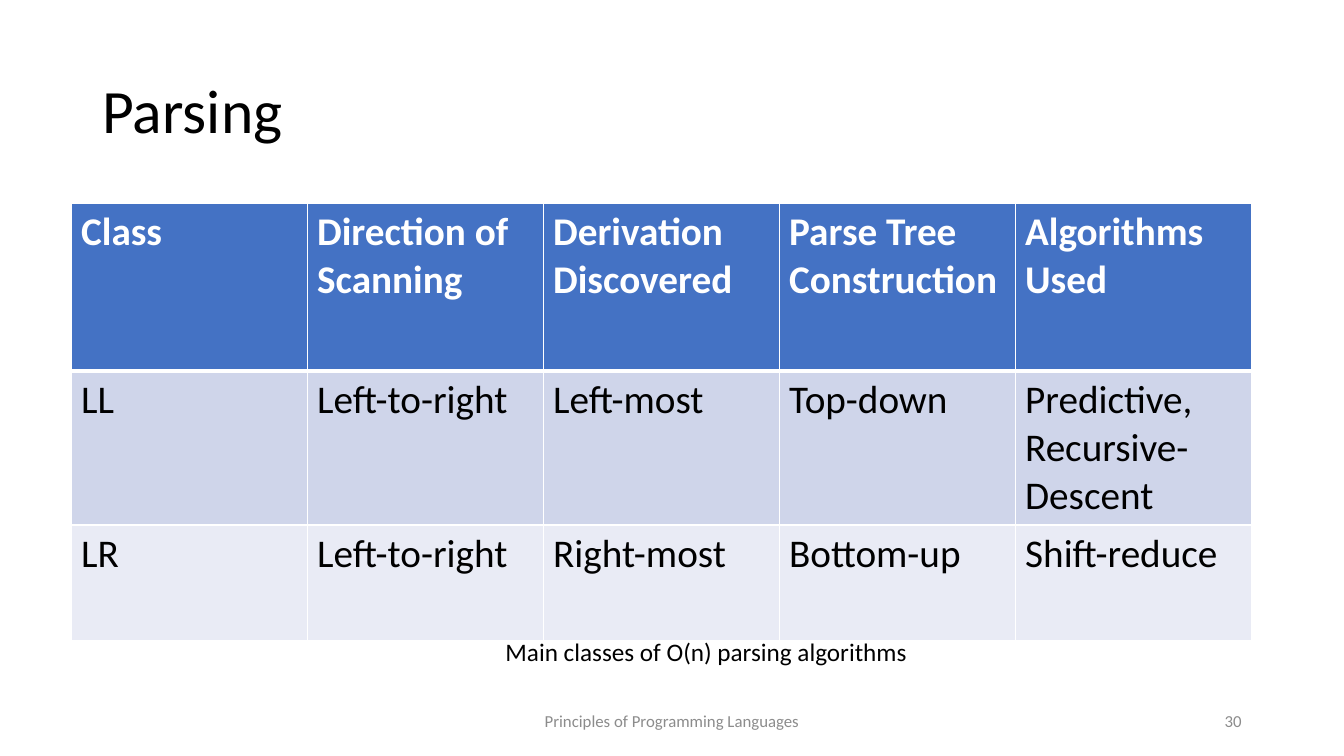
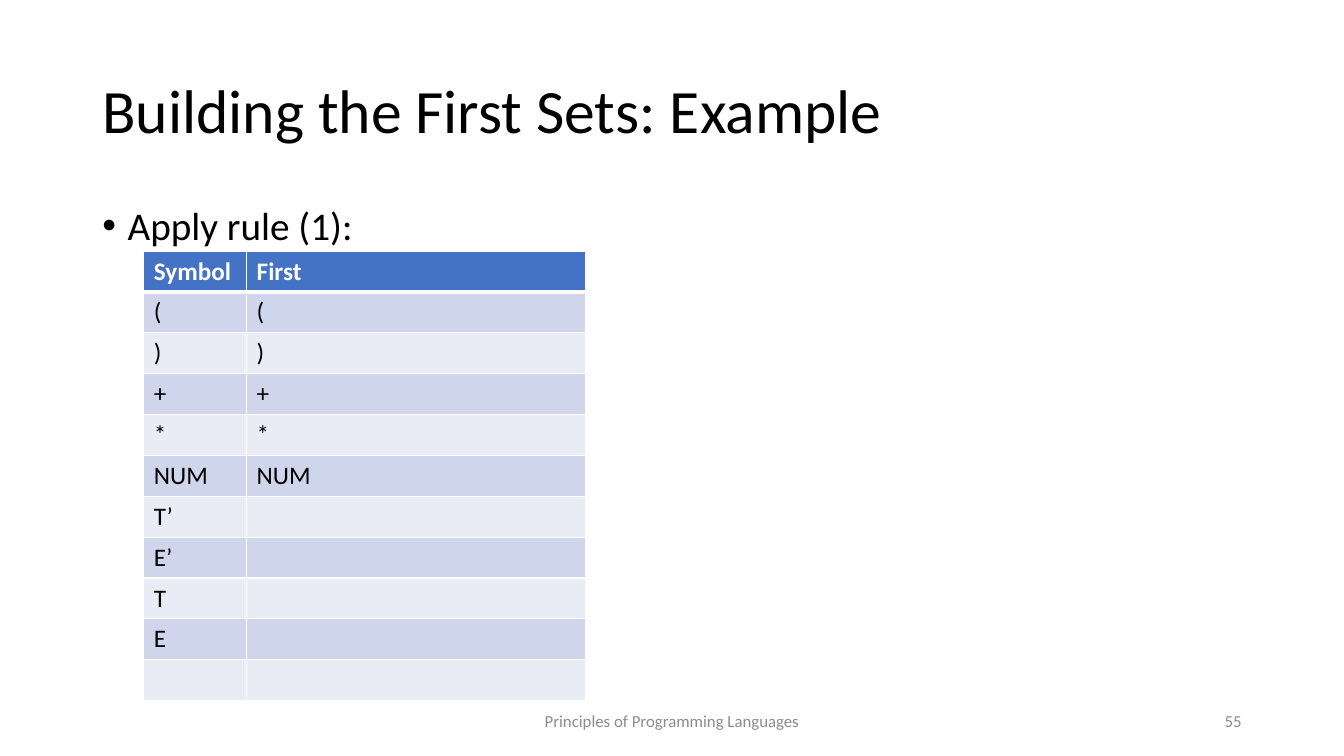
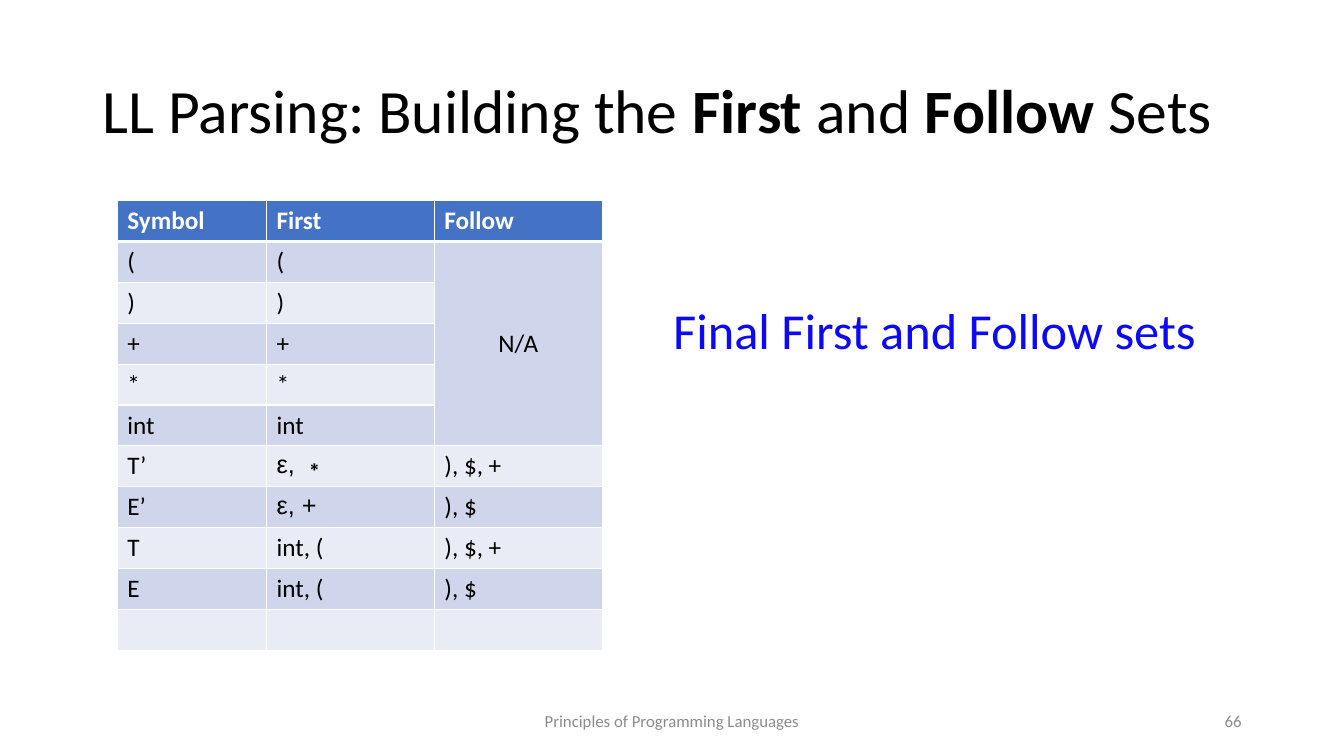
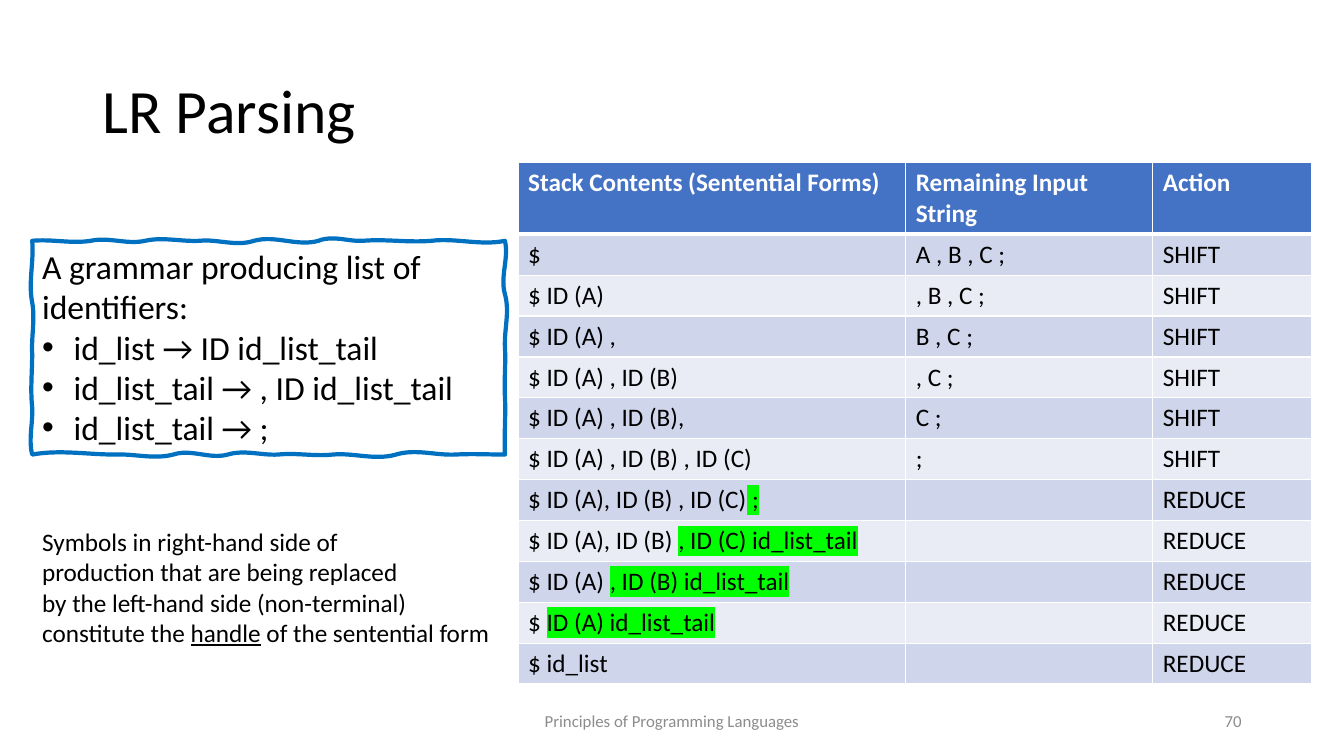
from dataclasses import dataclass

import pptx
import pptx.dml.color
import pptx.enum.text
import pptx.oxml.ns
import pptx.util
from lxml import etree

Pt = pptx.util.Pt
qn = pptx.oxml.ns.qn
ALIGN = pptx.enum.text.PP_ALIGN
ANCHOR = pptx.enum.text.MSO_ANCHOR


@dataclass(frozen=True)
class Theme:
    font: str = "Calibri"
    symbol_font: str = "Arial"
    text: str = "000000"
    white: str = "FFFFFF"
    muted: str = "8C8C8C"
    header: str = "4472C4"
    bands: tuple = ("CFD5EA", "E9EBF5")
    emphasis: str = "0D09F4"
    outline: str = "0070C0"
    handle: str = "00FF00"
    title_size: int = 44
    callout_size: int = 36
    body_size: int = 28
    grammar_size: int = 24
    small_size: int = 18
    footer_size: int = 12
    row_height: float = 29.2


T = Theme()

# Ripples of each side, clockwise from top left: (end along side, bend, bend)
RIPPLES = (
    ((41.8, -1.4, 2.2), (80.6, -2.9, 2.9), (119.5, -2.9, 0.7), (158.4, -1.4, 4.3),
     (204.5, -4.3, 4.3), (236.2, -4.3, 0.7), (285.1, -1.4, 1.4), (337.7, -2.2, 3.6)),
    ((38.2, 2.9, -3.6), (76.3, 3.6, -0.7), (111.6, 0.7, -0.7), (152.7, 0.7, -0.7)),
    ((35.3, 0, -0.7), (77.8, 0.7, -4.3), (123.1, 4.3, -1.4), (162, 1.4, -1.4),
     (198, 0.7, -3.6), (236.9, 3.6, -4.3), (278.6, 3.6, -0.7), (337.7, 0, -3.6)),
    ((33.8, -2.9, 0.7), (72, -1.4, 0), (108.7, -0.7, 2.2), (152.7, -2.9, 1.4)),
)


def rgb(value):
    return pptx.dml.color.RGBColor.from_string(value)


def add_bullet(p, indent):
    pPr = p._p.get_or_add_pPr()
    pPr.set("marL", str(Pt(indent)))
    pPr.set("indent", str(-Pt(indent)))
    etree.SubElement(pPr, qn("a:buFont"), typeface=T.symbol_font)
    etree.SubElement(pPr, qn("a:buChar"), char="•")


def add_run(p, text, size=T.small_size, color=T.text, font=T.font, bold=False,
            underline=False, highlight=None):
    r = p.add_run()
    r.text = text
    r.font.size, r.font.bold = Pt(size), bold
    r.font.color.rgb = rgb(color)
    if underline:
        r.font.underline = True
    if highlight:
        mark = etree.SubElement(r._r.get_or_add_rPr(), qn("a:highlight"))
        etree.SubElement(mark, qn("a:srgbClr"), val=highlight)
    r.font.name = font


def write(tf, paragraphs, align=ALIGN.LEFT, anchor=None, spacing=None,
          indent=0, bullets_from=0, **fmt):
    """Fill tf; a paragraph is a string or a list of strings and run dicts."""
    if anchor is not None:
        tf.vertical_anchor = anchor
    if isinstance(paragraphs, str):
        paragraphs = [paragraphs]
    for i, runs in enumerate(paragraphs):
        p = tf.add_paragraph() if i else tf.paragraphs[0]
        p.alignment = align
        p.space_before = Pt(0)
        if spacing:
            p.line_spacing = spacing
        if indent and i >= bullets_from:
            add_bullet(p, indent)
        for run in [runs] if isinstance(runs, str) else runs:
            run = {"text": run} if isinstance(run, str) else run
            if run["text"]:
                add_run(p, **{**fmt, **run})


def set_borders(cell, bottom):
    tcPr = cell._tc.get_or_add_tcPr()
    for i, side in enumerate(("lnL", "lnR", "lnT", "lnB")):
        width = bottom if side == "lnB" else 1
        ln = etree.Element(qn("a:" + side), w=str(Pt(width)))
        fill = etree.SubElement(ln, qn("a:solidFill"))
        etree.SubElement(fill, qn("a:srgbClr"), val=T.white)
        tcPr.insert(i, ln)


def ripple_curves(w, h):
    """Return the (control, control, end) points of a rippled w by h box."""
    corners = ((0, 0), (w, 0), (w, h), (0, h))
    directions = ((1, 0), (0, 1), (-1, 0), (0, -1))
    curves = []
    for (x, y), (dx, dy), ripples in zip(corners, directions, RIPPLES):
        start = 0
        for end, bend1, bend2 in ripples:
            step = (end - start) / 3
            curve = []
            for along, bend in ((start + step, bend1), (end - step, bend2), (end, 0)):
                # Bends are measured along x or y, across the side
                curve.append((x + along * dx + bend * abs(dy),
                              y + along * dy + bend * abs(dx)))
            curves.append(curve)
            start = end
    return curves


class Deck:
    def __init__(self):
        self.prs = pptx.Presentation()
        self.prs.slide_width, self.prs.slide_height = Pt(960), Pt(540)

    def slide(self, title, number, body=None):
        layout = self.prs.slide_layouts[1 if body else 5]
        self.s = self.prs.slides.add_slide(layout)
        self.placeholder(0, (66, 28.75, 828, 104.4), title,
                         size=T.title_size, anchor=ANCHOR.MIDDLE)
        if body:
            self.placeholder(1, (66, 143.75, 828, 342.6), body,
                             size=T.body_size, indent=18)
        footer = dict(size=T.footer_size, color=T.muted, anchor=ANCHOR.MIDDLE)
        self.text(318, 500.5, 324, 28.75, "Principles of Programming Languages",
                  align=ALIGN.CENTER, **footer)
        self.text(678, 500.5, 216, 28.75, str(number), align=ALIGN.RIGHT, **footer)

    def placeholder(self, idx, box, paragraphs, **fmt):
        sp = self.s.placeholders[idx]
        sp.left, sp.top, sp.width, sp.height = map(Pt, box)
        sp.text_frame.auto_size = pptx.enum.text.MSO_AUTO_SIZE.NONE
        write(sp.text_frame, paragraphs, spacing=0.9, **fmt)

    def text(self, x, y, w, h, paragraphs, wrap=True, **fmt):
        tf = self.s.shapes.add_textbox(Pt(x), Pt(y), Pt(w), Pt(h)).text_frame
        tf.word_wrap = wrap
        write(tf, paragraphs, **fmt)

    def table(self, x, y, widths, rows, heights=None, size=T.small_size):
        heights = heights or [T.row_height] * len(rows)
        frame = self.s.shapes.add_table(len(rows), len(widths), Pt(x), Pt(y),
                                        Pt(sum(widths)), Pt(sum(heights)))
        table = frame.table
        for column, width in zip(table.columns, widths):
            column.width = Pt(width)
        for i, (height, row) in enumerate(zip(heights, rows)):
            table.rows[i].height = Pt(height)
            head = i == 0
            for j, content in enumerate(row):
                cell = table.cell(i, j)
                cell.fill.solid()
                cell.fill.fore_color.rgb = rgb(T.header if head else T.bands[(i - 1) % 2])
                set_borders(cell, bottom=3 if head else 1)
                write(cell.text_frame, content, size=size, bold=head,
                      color=T.white if head else T.text)
        return table

    def wavy_box(self, x, y, w, h, paragraphs, **fmt):
        """Draw a box whose sides ripple like a hand-drawn line."""
        curves = ripple_curves(w, h)
        builder = self.s.shapes.build_freeform(Pt(x), Pt(y))
        builder.add_line_segments([(Pt(x + ex), Pt(y + ey)) for _, _, (ex, ey) in curves],
                                  close=True)
        sp = builder.convert_to_shape()
        for line, curve in zip(list(sp._element.iter(qn("a:lnTo"))), curves):
            bezier = etree.Element(qn("a:cubicBezTo"))
            for px, py in curve:
                etree.SubElement(bezier, qn("a:pt"), x=str(Pt(px)), y=str(Pt(py)))
            line.getparent().replace(line, bezier)
        sp.shadow.inherit = False
        sp.fill.background()
        sp.line.color.rgb = rgb(T.outline)
        sp.line.width = Pt(3)
        sp.text_frame.word_wrap = True
        write(sp.text_frame, paragraphs, anchor=ANCHOR.TOP, **fmt)


def parsing(d):
    d.slide("Parsing", 30)
    d.table(50.8, 145, [168.6] * 5, [
        ["Class", "Direction of Scanning", "Derivation Discovered",
         "Parse Tree Construction", "Algorithms Used"],
        ["LL", "Left-to-right", "Left-most", "Top-down",
         ["Predictive,", "Recursive-Descent"]],
        ["LR", "Left-to-right", "Right-most", "Bottom-up", "Shift-reduce"],
    ], heights=[120, 110, 82.5], size=T.body_size)
    d.text(354, 450.8, 304.6, 29, "Main classes of O(n) parsing algorithms", wrap=False)


def first_sets(d):
    d.slide("Building the First Sets: Example", 55, body="Apply rule (1):")
    rows = [["Symbol", "First"]]
    rows += [[symbol, symbol] for symbol in ("(", ")", "+", "*", "NUM")]
    rows += [[symbol, ""] for symbol in ("T’", "E’", "T", "E", "")]
    d.table(102.7, 179.3, [73.5, 241.9], rows)


def follow_sets(d):
    d.slide([["LL Parsing: Building the ", dict(text="First", bold=True), " and ",
              dict(text="Follow", bold=True), " Sets"]], 66)
    rows = [["Symbol", "First", "Follow"]]
    rows += [[symbol, symbol, ""] for symbol in ("(", ")", "+", "*", "int")]
    rows += [
        ["T’", [[dict(text="ε, ∗", font=T.symbol_font)]], "), $, +"],
        ["E’", [[dict(text="ε, +", font=T.symbol_font)]], "), $"],
        ["T", "int, (", "), $, +"],
        ["E", "int, (", "), $"],
        ["", "", ""],
    ]
    table = d.table(83.8, 143.3, [106.6, 119.9, 119.9], rows)
    merged = table.cell(1, 2)
    merged.merge(table.cell(5, 2))
    merged.vertical_anchor = ANCHOR.MIDDLE
    write(merged.text_frame, "N/A", align=ALIGN.CENTER)
    d.text(473.8, 210.2, 391, 51, "Final First and Follow sets", wrap=False,
           size=T.callout_size, color=T.emphasis)


def lr_parsing(d):
    d.slide("LR Parsing", 70)
    rows = [["Stack Contents (Sentential Forms)", "Remaining Input String", "Action"]]
    rows += [[stack, rest, "SHIFT"] for stack, rest in (
        ("$", "A , B , C ;"),
        ("$ ID (A)", ", B , C ;"),
        ("$ ID (A) ,", "B , C ;"),
        ("$ ID (A) , ID (B)", ", C ;"),
        ("$ ID (A) , ID (B),", "C ;"),
        ("$ ID (A) , ID (B) , ID (C)", ";"),
    )]
    rows += [[[[stack, dict(text=handle, highlight=T.handle)]], "", "REDUCE"]
             for stack, handle in (
        ("$ ID (A), ID (B) , ID (C)", " ;"),
        ("$ ID (A), ID (B) ", ", ID (C) id_list_tail"),
        ("$ ID (A) ", ", ID (B) id_list_tail"),
        ("$ ", "ID (A) id_list_tail"),
        ("$ id_list", ""),
    )]
    d.table(370.1, 116.2, [276.9, 176.4, 113.5], rows,
            heights=[51.2] + [T.row_height] * (len(rows) - 1))
    d.wavy_box(23, 172, 337.7, 152.7, [
        "A grammar producing list of identifiers:",
        "id_list → ID id_list_tail",
        "id_list_tail → , ID id_list_tail",
        "id_list_tail → ;",
    ], size=T.grammar_size, indent=22.5, bullets_from=1)
    d.text(23, 372.5, 337.7, 94.5, [
        "Symbols in right-hand side of",
        "production that are being replaced",
        "by the left-hand side (non-terminal)",
        ["constitute the ", dict(text="handle", underline=True),
         " of the sentential form"],
    ], wrap=False)


def main():
    d = Deck()
    for build in (parsing, first_sets, follow_sets, lr_parsing):
        build(d)
    d.prs.save("out.pptx")


if __name__ == "__main__":
    main()
